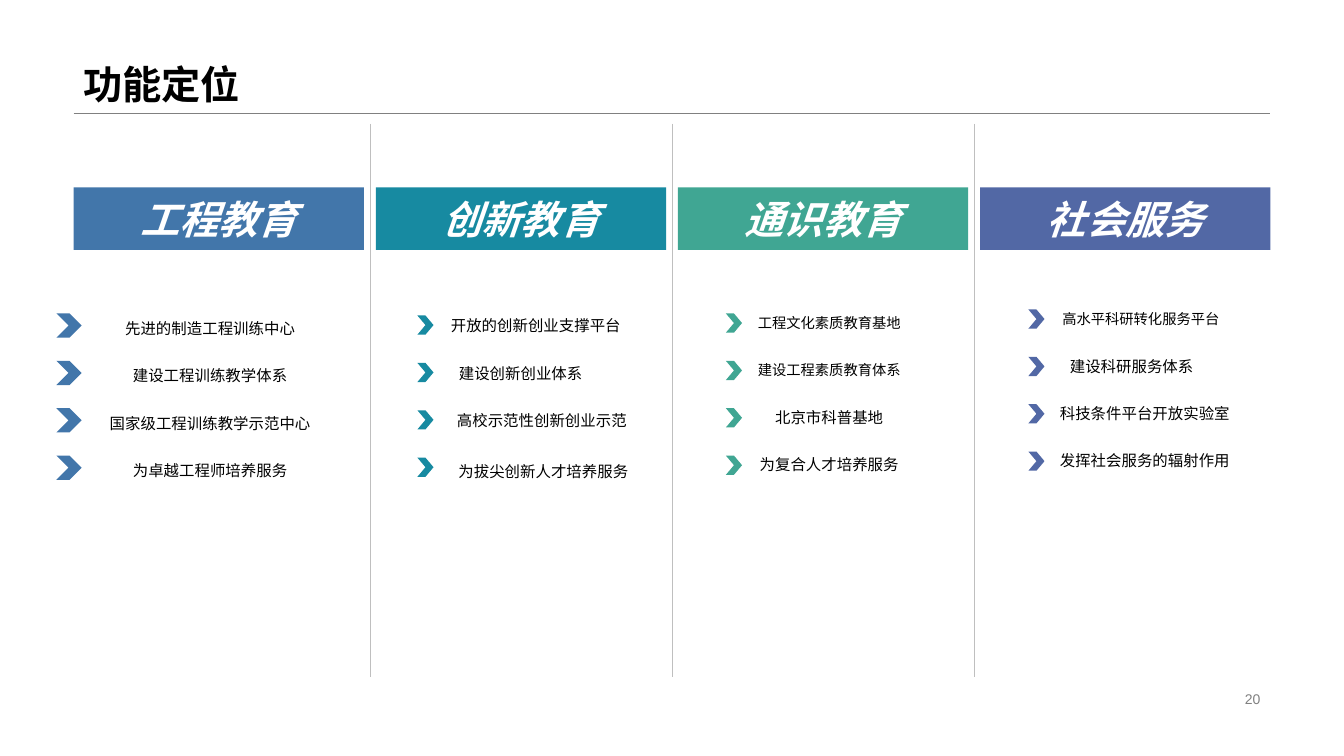
from lxml import etree
from pptx import Presentation
from pptx.dml.color import RGBColor
from pptx.enum.shapes import MSO_CONNECTOR, MSO_SHAPE
from pptx.enum.text import MSO_ANCHOR as ANCHOR, PP_ALIGN as ALIGN
from pptx.oxml.ns import qn
from pptx.util import Inches, Pt

BLACK = RGBColor(0, 0, 0)
WHITE = RGBColor(0xFF, 0xFF, 0xFF)
GREY = RGBColor(0x80, 0x80, 0x80)
LIGHT_GREY = RGBColor(0xBF, 0xBF, 0xBF)
BLUE = RGBColor(0x42, 0x76, 0xAA)
TEAL = RGBColor(0x17, 0x8A, 0xA1)
GREEN = RGBColor(0x40, 0xA6, 0x93)
INDIGO = RGBColor(0x52, 0x68, 0xA5)

TITLE = "功能定位"
PAGE_NUMBER = "20"

# Items: text, left, width, height, font size
COLUMNS = [
    dict(heading="工程教育", color=BLUE, text_top=3.01,
         chevron=(0.56, 3.11, 0.25, 0.24), items=[
             ("先进的制造工程训练中心", 0.77, 2.63, 0.49, 11),
             ("建设工程训练教学体系", 0.77, 2.63, 0.49, 11),
             ("国家级工程训练教学示范中心", 0.77, 2.63, 0.49, 11),
             ("为卓越工程师培养服务", 0.77, 2.63, 0.49, 11)]),
    dict(heading="创新教育", color=TEAL, text_top=3.04,
         chevron=(4.14, 3.13, 0.16, 0.19), items=[
             ("开放的创新创业支撑平台", 4.09, 2.45, 0.38, 11),
             ("建设创新创业体系", 4.35, 1.63, 0.38, 11),
             ("高校示范性创新创业示范", 4.35, 2.05, 0.38, 11),
             ("为拔尖创新人才培养服务", 4.3, 2.18, 0.46, 11)]),
    dict(heading="通识教育", color=GREEN, text_top=3.01,
         chevron=(7.2, 3.11, 0.16, 0.19), items=[
             ("工程文化素质教育基地", 7.41, 1.63, 0.38, 10.2),
             ("建设工程素质教育体系", 7.41, 1.63, 0.38, 10.2),
             ("北京市科普基地", 7.41, 1.63, 0.38, 11),
             ("为复合人才培养服务", 7.41, 1.63, 0.38, 11)]),
    dict(heading="社会服务", color=INDIGO, text_top=2.97,
         chevron=(10.2, 3.07, 0.16, 0.19), items=[
             ("高水平科研转化服务平台", 10.41, 1.81, 0.38, 10.2),
             ("建设科研服务体系", 10.41, 1.63, 0.38, 11),
             ("科技条件平台开放实验室", 10.41, 1.89, 0.38, 11),
             ("发挥社会服务的辐射作用", 10.41, 1.89, 0.38, 11)]),
]

LEFT, RIGHT = 0.73, 12.6
HEADING_W, HEADING_H, HEADING_TOP = 2.88, 0.62, 1.86
PITCH = (RIGHT - LEFT - HEADING_W) / (len(COLUMNS) - 1)
GAP = PITCH - HEADING_W
ROW_STEP = 0.47


def write(sp, text, anchor, align, inset=0.1, spacing=1.0, **font):
    tf = sp.text_frame
    frame = dict(word_wrap=True, vertical_anchor=anchor,
                 margin_left=Inches(inset), margin_right=Inches(inset))
    for name, value in frame.items():
        setattr(tf, name, value)
    p = tf.paragraphs[0]
    p.alignment, p.line_spacing = align, spacing
    r = p.add_run()
    r.text = text
    r.font.name = "Arial"
    r.font.color.rgb = font.pop("color", BLACK)
    for name, value in font.items():
        setattr(r.font, name, value)


def add_text(s, box, *args, **kwargs):
    write(s.shapes.add_textbox(*map(Inches, box)), *args, **kwargs)


def add_block(s, kind, box, color):
    sp = s.shapes.add_shape(kind, *map(Inches, box))
    sp.shadow.inherit = False
    sp.fill.solid()
    sp.fill.fore_color.rgb = color
    sp.line.fill.background()
    return sp


def add_rule(s, ends, color):
    line = s.shapes.add_connector(MSO_CONNECTOR.STRAIGHT, *map(Inches, ends))
    line.line.color.rgb = color
    line.line.width = Pt(0.25)
    etree.SubElement(line._element.spPr, qn("a:effectLst"))


def add_column(s, i, column):
    x = LEFT + i * PITCH
    color = column["color"]
    heading = add_block(s, MSO_SHAPE.RECTANGLE,
                        (x, HEADING_TOP, HEADING_W, HEADING_H), color)
    write(heading, column["heading"], ANCHOR.MIDDLE, ALIGN.CENTER,
          size=Pt(28), bold=True, italic=True, color=WHITE)
    cx, cy, cw, ch = column["chevron"]
    for row, (text, left, width, height, size) in enumerate(column["items"]):
        dy = row * ROW_STEP
        add_text(s, (left, column["text_top"] + dy, width, height), text,
                 ANCHOR.MIDDLE, ALIGN.CENTER, inset=0, size=Pt(size))
        add_block(s, MSO_SHAPE.CHEVRON, (cx, cy + dy, cw, ch), color)
    if i:
        add_rule(s, (x - GAP / 2, 1.23, x - GAP / 2, 6.72), LIGHT_GREY)


def main():
    prs = Presentation()
    prs.slide_width, prs.slide_height = Inches(13.33), Inches(7.5)
    s = prs.slides.add_slide(prs.slide_layouts[6])
    add_rule(s, (LEFT, 1.12, RIGHT, 1.12), GREY)
    add_text(s, (LEFT, 0, RIGHT - LEFT, 1.12), TITLE, ANCHOR.BOTTOM,
             ALIGN.LEFT, spacing=0.9, size=Pt(28), bold=True)
    add_text(s, (9.42, 6.82, 3.18, 0.23), PAGE_NUMBER, ANCHOR.MIDDLE,
             ALIGN.RIGHT, size=Pt(10), color=GREY)
    for i, column in enumerate(COLUMNS):
        add_column(s, i, column)
    prs.save("out.pptx")


if __name__ == "__main__":
    main()
